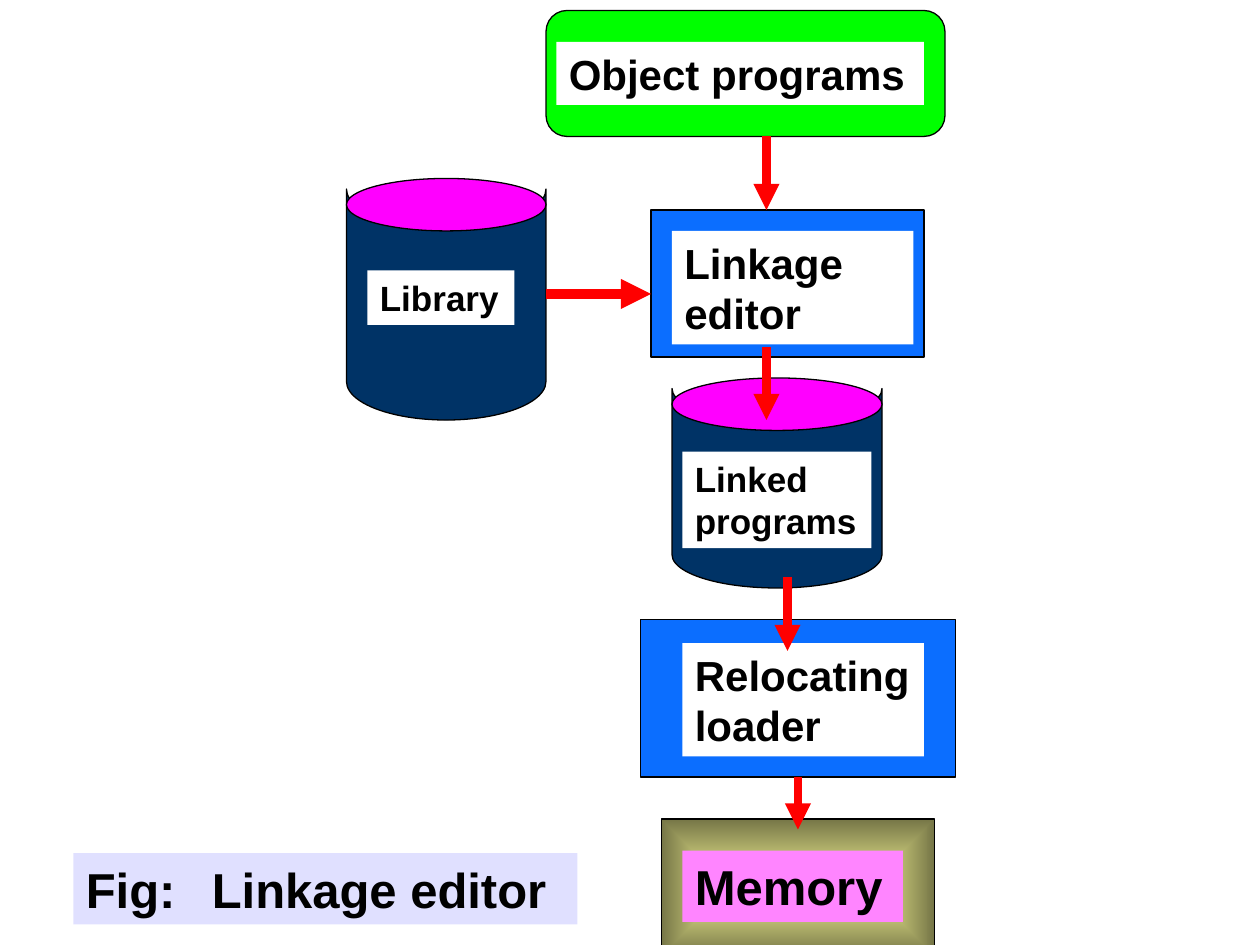
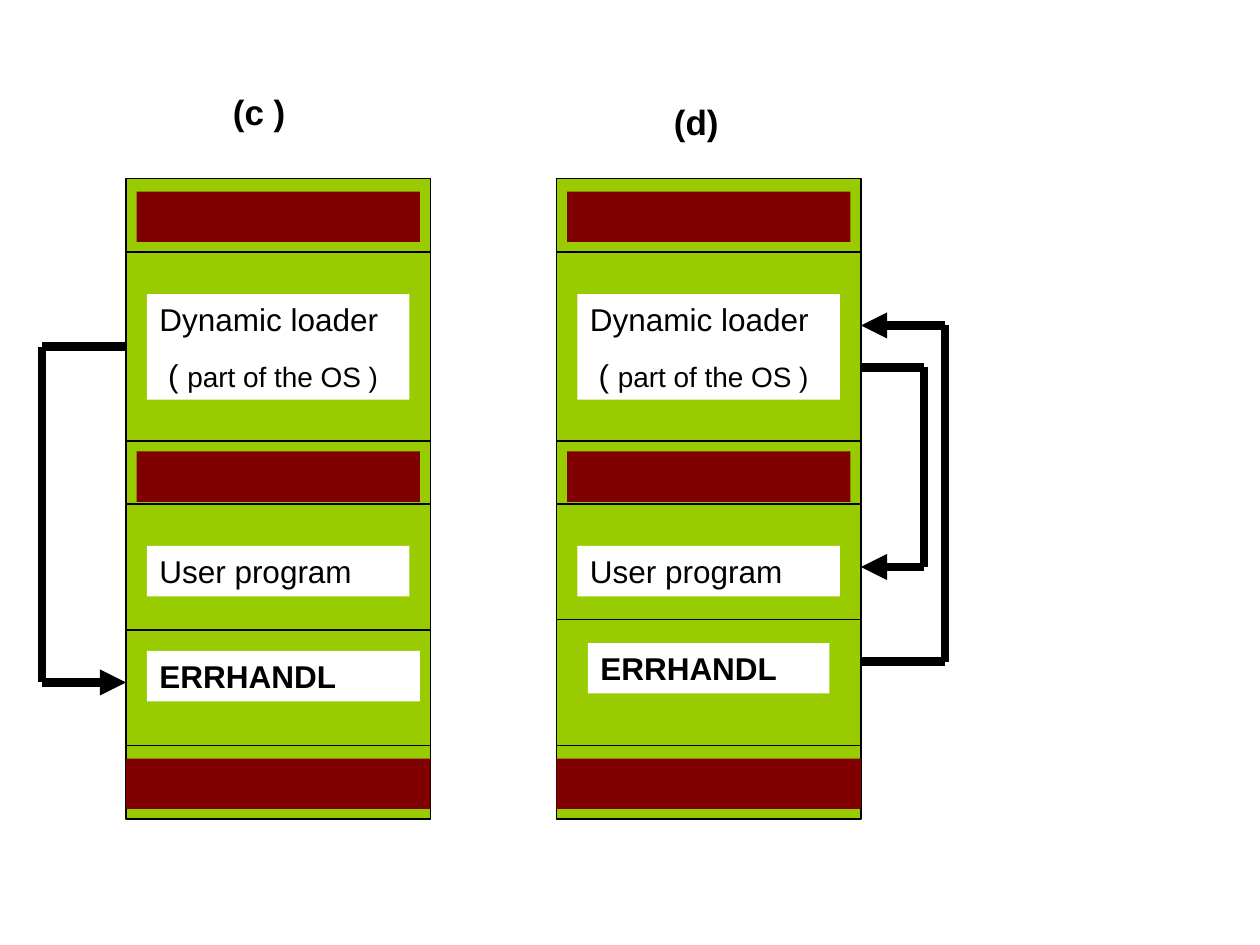
from pptx import Presentation
from pptx.dml.color import RGBColor
from pptx.enum.dml import MSO_LINE
from pptx.enum.shapes import MSO_CONNECTOR, MSO_SHAPE
from pptx.enum.text import MSO_ANCHOR, MSO_AUTO_SIZE, PP_ALIGN
from pptx.oxml.ns import qn
from pptx.util import Inches, Pt
from lxml.etree import SubElement

COLUMNS, ROWS = 120, 90
CELL = 1 / 12
BLACK, WHITE, RED = "000000", "FFFFFF", "FF0000"
NAVY, MAGENTA, BLUE = "003366", "FF00FF", "0B6EFF"
GREEN, LIME, MAROON = "00FF00", "99CC00", "800000"
PINK, LILAC = "FF85FF", "6666FF"
SAND, OLIVE = "FFFF99", "767647"


def colour(code):
    return RGBColor.from_string(code)


def cells(*counts):
    return [Inches(count * CELL) for count in counts]


class Diagram:
    font = "Arial"
    outline = 0.75
    padding = 0.1
    leading = 1.2
    spacing = 0.625

    def __init__(self):
        self.deck = Presentation()
        self.deck.slide_width, self.deck.slide_height = cells(COLUMNS, ROWS)
        self.page = None

    def new_page(self):
        self.page = self.deck.slides.add_slide(self.deck.slide_layouts[6])

    def block(self, left, top, width, height, fill, kind=MSO_SHAPE.RECTANGLE, outlined=True):
        box = self.page.shapes.add_shape(kind, *cells(left, top, width, height))
        box.shadow.inherit = False
        if fill:
            box.fill.solid()
            box.fill.fore_color.rgb = colour(fill)
        else:
            box.fill.background()
        if outlined:
            box.line.color.rgb = colour(BLACK)
            box.line.width = Pt(self.outline)
        else:
            box.line.fill.background()
        return box

    def drum(self, left, top, width, height):
        shift = (width - height) / 2
        body = self.block(left + shift, top - shift, height, width, NAVY,
                          MSO_SHAPE.FLOWCHART_STORED_DATA)
        body.rotation = 270
        self.block(left, top - 1, width, 5, MAGENTA, MSO_SHAPE.OVAL)

    def bevel(self, left, top, width, height, centre, edge):
        box = self.block(left, top, width, height, centre)
        box.fill.gradient()
        for stop, code in zip(box.fill.gradient_stops, (centre, edge)):
            stop.color.rgb = colour(code)
        gradient = box._element.spPr.find(qn("a:gradFill"))
        gradient.remove(gradient.find(qn("a:lin")))
        route = SubElement(gradient, qn("a:path"), path="rect")
        SubElement(route, qn("a:fillToRect"), l="50000", t="50000", r="50000", b="50000")

    def label(self, left, top, width, size, *texts, lines=1, bold=True, fill=WHITE, alpha=None):
        spread = lines * size * self.leading / 72 + self.padding
        box = self.block(left, top, width, spread / CELL, fill, outlined=False)
        if alpha:
            tint = box._element.spPr.find(qn("a:solidFill"))[0]
            SubElement(tint, qn("a:alpha"), val=str(alpha * 1000))
        frame = box.text_frame
        frame.word_wrap = True
        frame.auto_size = MSO_AUTO_SIZE.SHAPE_TO_FIT_TEXT
        frame.vertical_anchor = MSO_ANCHOR.TOP
        frame.text = "\n".join(texts)
        for para in frame.paragraphs:
            para.alignment = PP_ALIGN.LEFT
            para.space_before = Pt(size * self.spacing)
            for span in para.runs:
                self.style(span, size, bold)
        return box

    def style(self, span, size, bold):
        span.font.name = self.font
        span.font.size = Pt(size)
        span.font.bold = bold
        span.font.color.rgb = colour(BLACK)

    def loader_label(self, left, top, width):
        box = self.label(left, top, width, 18, "Dynamic loader", " ( ", lines=2, bold=False)
        note = box.text_frame.paragraphs[1]
        note.space_before = Pt(10)
        box.height += Pt(10)
        span = note.add_run()
        span.text = "part of the OS )"
        self.style(span, 16, False)

    def line(self, start, end, code=BLACK, weight=outline, arrow=False):
        link = self.page.shapes.add_connector(MSO_CONNECTOR.STRAIGHT, *cells(*start, *end))
        link.line.color.rgb = colour(code)
        link.line.width = Pt(weight)
        link.line.dash_style = MSO_LINE.SOLID
        if arrow:
            SubElement(link.line._get_or_add_ln(), qn("a:tailEnd"), type="triangle")
        SubElement(link._element.spPr, qn("a:effectLst"))

    def route(self, *points):
        last = len(points) - 2
        for index, (start, end) in enumerate(zip(points, points[1:])):
            self.line(start, end, weight=5, arrow=index == last)

    def memory_map(self, left, user_end):
        width = 29
        self.block(left, 17, width, 61, LIME)
        for row in (24, 42, 48, user_end, 71):
            self.line((left, row), (left + width, row))
        for inset, row in ((1, 18.25), (1, 43), (0, 72.25)):
            self.block(left + inset, row, width - 2 * inset, 4.8, MAROON, outlined=False)
        self.loader_label(left + 2, 28, 25)
        self.label(left + 2, 52, 25, 18, "User program", bold=False)


def linkage_editor_page(diagram):
    diagram.new_page()
    diagram.drum(33, 18, 19, 22)
    diagram.label(35, 25.75, 14, 20, "Library")
    diagram.block(52, 1, 38, 12, GREEN, MSO_SHAPE.ROUNDED_RECTANGLE)
    diagram.label(53, 4, 35, 24, "Object programs")
    diagram.block(62, 20, 26, 14, BLUE)
    diagram.label(64, 22, 23, 24, "Linkage editor", lines=2)
    diagram.bevel(63, 78, 26, 13, SAND, OLIVE)
    diagram.label(65, 81, 21, 28, "Memory", fill=PINK)
    diagram.block(61, 59, 30, 15, BLUE)
    diagram.label(65, 61.25, 23, 24, "Relocating loader", lines=2)
    diagram.drum(64, 37, 20, 19)
    diagram.label(65, 43, 18, 20, "Linked programs", lines=2)
    diagram.line((52, 28), (62, 28), RED, 5.75, True)
    for column, top, bottom in ((73, 13, 20), (73, 33, 40), (75, 55, 62), (76, 74, 79)):
        diagram.line((column, top), (column, bottom), RED, 5, True)
    diagram.label(7, 81.25, 48, 28, "Fig:\tLinkage editor", fill=LILAC, alpha=20)


def dynamic_loading_page(diagram):
    diagram.new_page()
    diagram.memory_map(12, 60)
    diagram.memory_map(53, 59)
    diagram.label(14, 62, 26, 18, "ERRHANDL")
    diagram.label(56, 61.25, 23, 18, "ERRHANDL")
    diagram.label(21, 8, 11, 20, "(c )", fill=None)
    diagram.label(63, 9, 11, 20, "(d)", fill=None)
    diagram.route((12, 33), (4, 33), (4, 65), (12, 65))
    diagram.route((82, 35), (88, 35), (88, 54), (82, 54))
    diagram.route((82, 63), (90, 63), (90, 31), (82, 31))


def main():
    diagram = Diagram()
    linkage_editor_page(diagram)
    dynamic_loading_page(diagram)
    diagram.deck.save("out.pptx")


if __name__ == "__main__":
    main()
